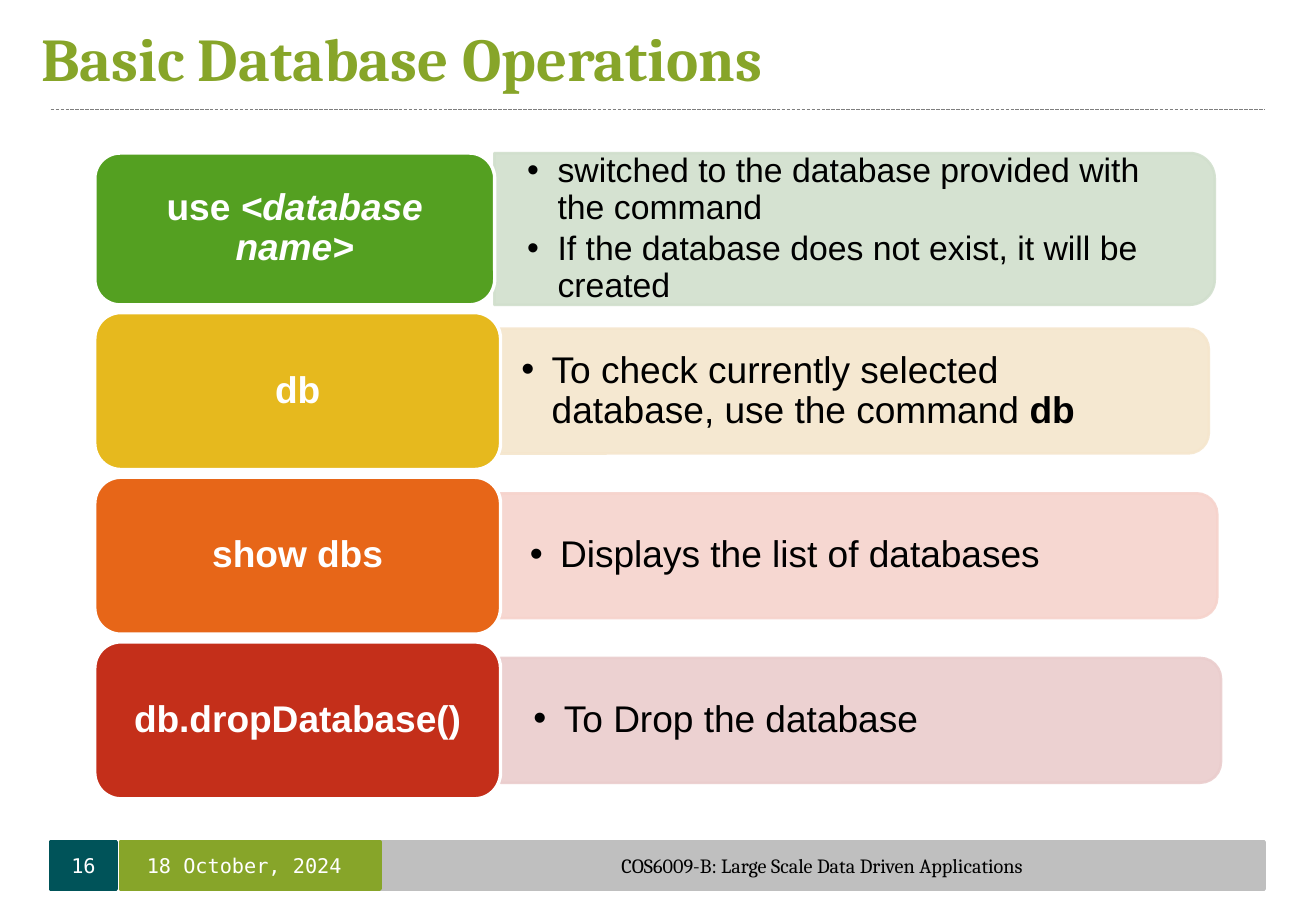
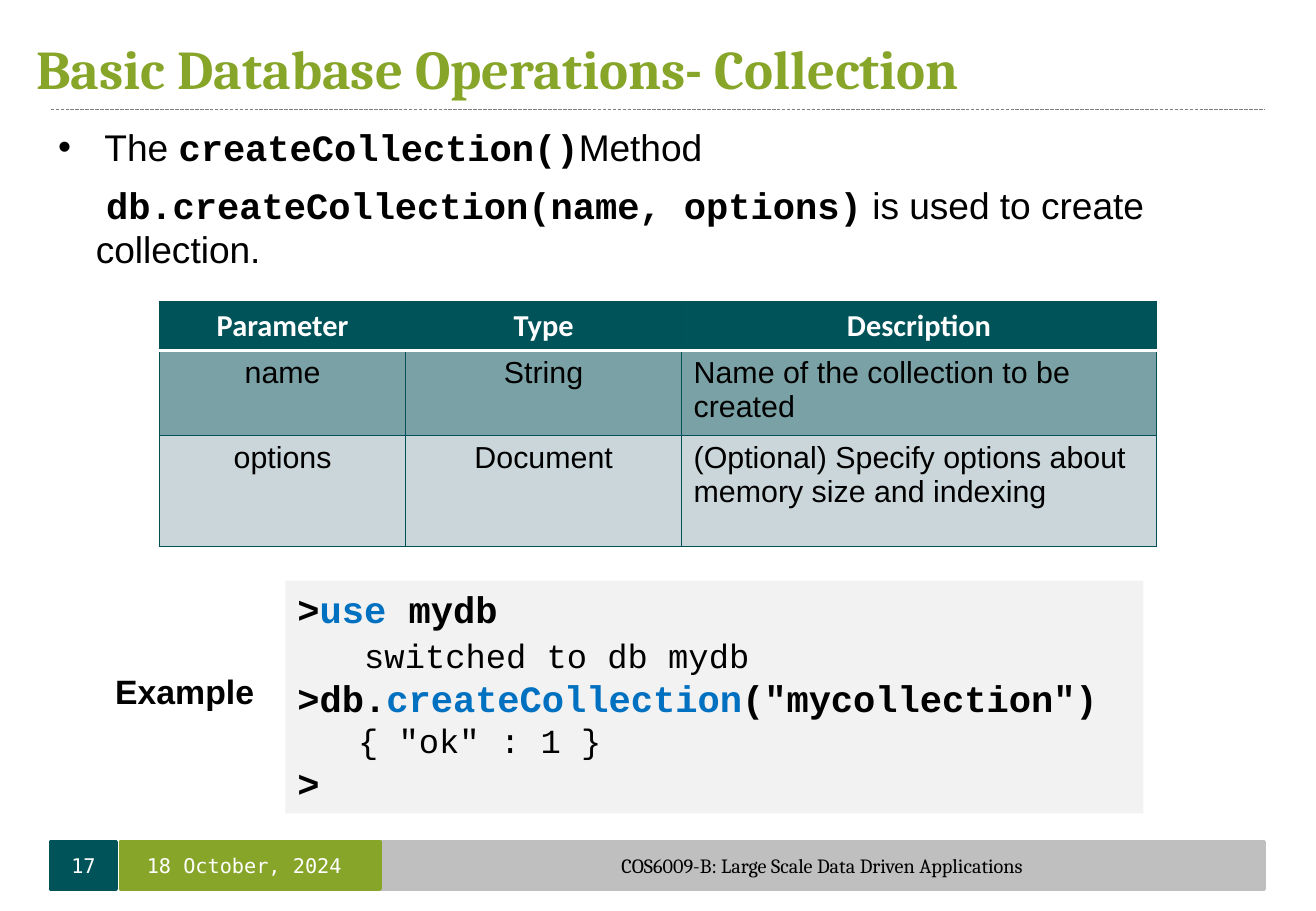
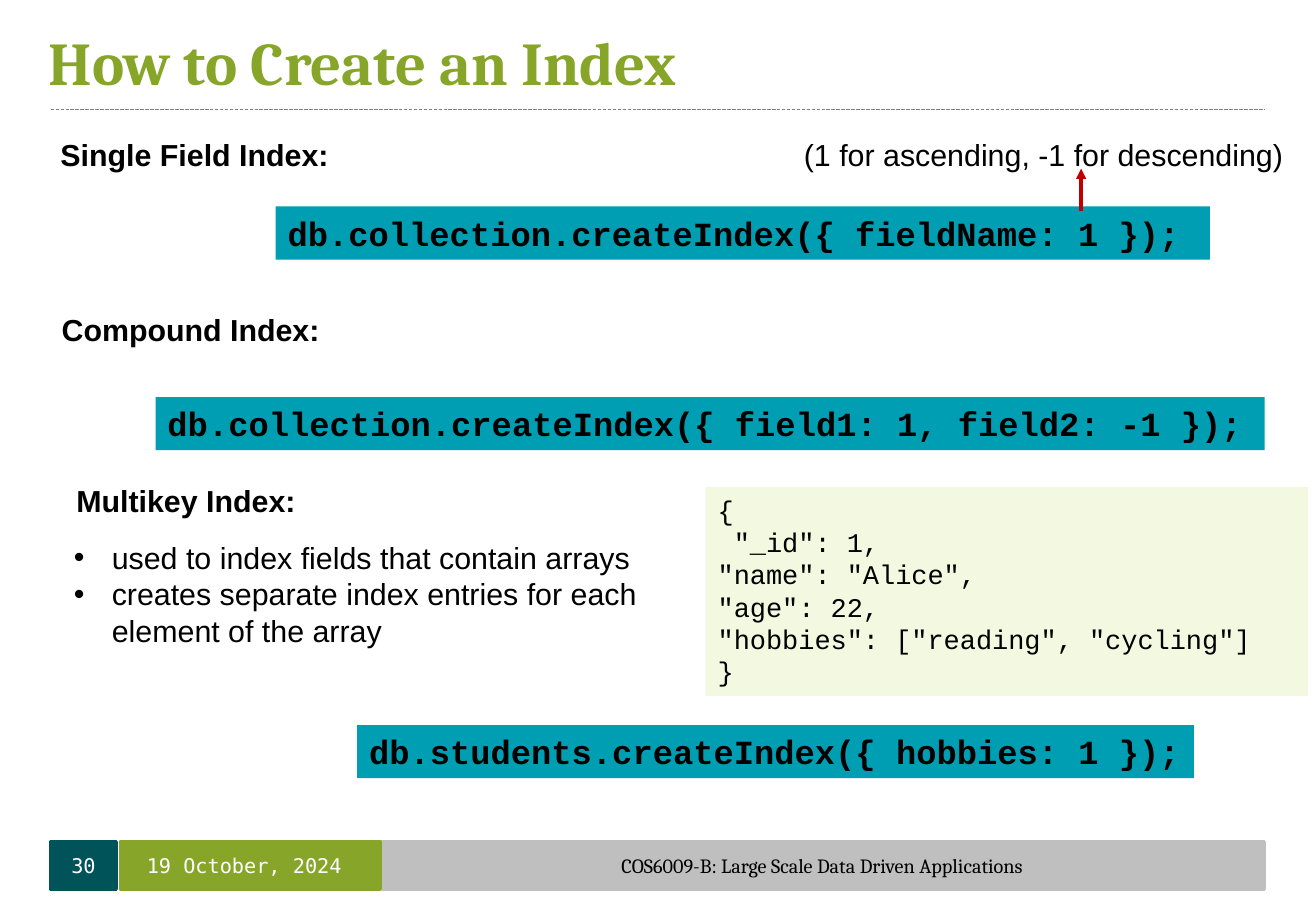
import dataclasses
import typing

import pptx
import pptx.dml.color
import pptx.enum.dml
import pptx.enum.shapes
import pptx.enum.text
import pptx.oxml.ns
import pptx.oxml.xmlchemy
import pptx.util

Pt = pptx.util.Pt
SHAPE = pptx.enum.shapes.MSO_SHAPE
ALIGN = pptx.enum.text.PP_ALIGN
ANCHOR = pptx.enum.text.MSO_ANCHOR

TEAL, GREEN, SILVER, GREY = "005359", "87A529", "BFBFBF", "7F7F7F"
WHITE, BLACK, BLUE, RED = "FFFFFF", "000000", "0070C0", "C00000"
CYAN, BORDER = "009EB2", "005157"
SANS, SERIF, MONO, DIGITS = "Arial", "Cambria", "Courier New", "DejaVu Sans Mono"
COURSE = "COS6009-B: Large Scale Data Driven Applications"
TEXT_INSETS = (7.2, 3.6, 7.2, 3.6)
BAND_TOP, BAND_HEIGHT = 499, 28


@dataclasses.dataclass(frozen=True)
class Run:
    text: str
    size: float = 18
    name: str = SANS
    color: str = BLACK
    bold: bool = False
    italic: bool = False


@dataclasses.dataclass(frozen=True)
class Para:
    runs: tuple[Run, ...]
    align: typing.Any = ALIGN.LEFT
    left: float = 0
    first: float = 0
    bullet: bool = False
    line: float = 1
    before: float = 0
    after: float = 0


class Box(typing.NamedTuple):
    x: float
    y: float
    w: float
    h: float


class Band(typing.NamedTuple):
    x: float
    w: float
    fill: str
    run: Run
    right: float = 0


class Operation(typing.NamedTuple):
    command: tuple[Run, ...]
    notes: tuple[tuple[Run, ...], ...]
    fill: str
    tint: str
    w: float
    h: float
    panel_x: float
    panel_h: float


def rgb(color: str) -> pptx.dml.color.RGBColor:
    return pptx.dml.color.RGBColor.from_string(color)


def xml(parent, tag: str, **attrs: str):
    e = pptx.oxml.xmlchemy.OxmlElement(tag)
    for key, value in attrs.items():
        e.set(key, value)
    parent.append(e)
    return e


def write(tf, paras: typing.Sequence[Para]) -> None:
    for i, para in enumerate(paras):
        p = tf.paragraphs[0] if i == 0 else tf.add_paragraph()
        layout = {"alignment": para.align, "line_spacing": para.line,
                  "space_before": Pt(para.before), "space_after": Pt(para.after)}
        for key, value in layout.items():
            setattr(p, key, value)
        pPr = p._p.get_or_add_pPr()
        pPr.set("marL", str(int(Pt(para.left))))
        pPr.set("indent", str(int(Pt(para.first))))
        if para.bullet:
            xml(pPr, "a:buFont", typeface=SANS)
            xml(pPr, "a:buChar", char="•")
        for run in para.runs:
            r = p.add_run()
            r.text = run.text
            font = {"size": Pt(run.size), "name": run.name,
                    "bold": run.bold, "italic": run.italic}
            for key, value in font.items():
                setattr(r.font, key, value)
            r.font.color.rgb = rgb(run.color)


def frame_text(sp, paras: typing.Sequence[Para], anchor, insets: tuple) -> None:
    tf = sp.text_frame
    sides = ("margin_left", "margin_top", "margin_right", "margin_bottom")
    frame = {"word_wrap": True, "vertical_anchor": anchor,
             **{side: Pt(v) for side, v in zip(sides, insets)}}
    for key, value in frame.items():
        setattr(tf, key, value)
    write(tf, paras)


def add_text(s, box: Box, paras: typing.Sequence[Para], fill: str = "",
             anchor=ANCHOR.TOP, insets: tuple = TEXT_INSETS) -> None:
    sp = s.shapes.add_textbox(*map(Pt, box))
    if fill:
        sp.fill.solid()
        sp.fill.fore_color.rgb = rgb(fill)
    frame_text(sp, paras, anchor, insets)


def add_shape(s, kind, box: Box, fill: str, line: str, width: float = 2):
    sp = s.shapes.add_shape(kind, *map(Pt, box))
    sp.shadow.inherit = False
    sp.fill.solid()
    sp.fill.fore_color.rgb = rgb(fill)
    sp.line.color.rgb = rgb(line)
    sp.line.width = Pt(width)
    return sp


def add_line(s, start: tuple, end: tuple, color: str, width: float):
    sp = s.shapes.add_connector(pptx.enum.shapes.MSO_CONNECTOR.STRAIGHT,
                                *map(Pt, start + end))
    sp.line.color.rgb = rgb(color)
    sp.line.width = Pt(width)
    xml(sp._element.spPr, "a:effectLst")
    return sp


def add_slide(prs, title: str, x: float, y: float, number: str, date: str,
              size: float = 36):
    s = prs.slides.add_slide(prs.slide_layouts[6])
    bands = (
        Band(30, 39, TEAL, Run(number, 12, DIGITS, WHITE)),
        Band(225.4, 524, SILVER, Run(COURSE, 12, SERIF)),
        Band(71.3, 154, GREEN, Run(date, 12, DIGITS, WHITE), 7),
    )
    for band in bands:
        sp = add_shape(s, SHAPE.RECTANGLE, Box(band.x, BAND_TOP, band.w, BAND_HEIGHT),
                       band.fill, band.fill)
        frame_text(sp, [Para((band.run,), ALIGN.CENTER)], ANCHOR.MIDDLE,
                   (0, 0, band.right, 0))
    rule = add_line(s, (30, 65), (750, 65), GREY, 0.75)
    rule.line.dash_style = pptx.enum.dml.MSO_LINE.SQUARE_DOT
    add_text(s, Box(x, y, 667, 60.5), [Para((Run(title, size, SERIF, GREEN, True),))],
             anchor=ANCHOR.MIDDLE, insets=(0, 0, 0, 0))
    return s


def add_panel(s, box: Box, tint: str) -> None:
    cx, cy = box.x + box.w / 2, box.y + box.h / 2
    upright = Box(cx - box.h / 2, cy - box.w / 2, box.h, box.w)
    sp = add_shape(s, SHAPE.ROUND_2_SAME_RECTANGLE, upright, tint, tint, 1.5)
    sp.rotation = 90
    for clr in list(sp._element.spPr.iter(pptx.oxml.ns.qn("a:srgbClr"))):
        xml(clr, "a:alpha", val="90000")


def label(text: str, italic: bool = False) -> Run:
    return Run(text, 22, color=WHITE, bold=True, italic=italic)


def operations_slide(prs) -> None:
    s = add_slide(prs, "Basic Database Operations", 24.5, 3.6, "16", "18 October, 2024")
    operations = (
        Operation((label("use "), label("<database name>", True)),
                  ((Run("switched to the database provided with the command", 20),),
                   (Run("If the database does not exist, it will be created", 20),)),
                  "54A021", "D1DFCD", 237, 90, 293, 90),
        Operation((label("db"),),
                  ((Run("To check currently selected database, use the command ", 22),
                    Run("db", 22, bold=True)),),
                  "E6B91E", "F5E6CD", 240.5, 93, 289.5, 74),
        Operation((label("show dbs"),), ((Run("Displays the list of databases", 22),),),
                  "E76618", "F6D3CC", 240.5, 93, 294.5, 74),
        Operation((label("db.dropDatabase()"),), ((Run("To Drop the database", 22),),),
                  "C42F1A", "EACDCD", 240.5, 93, 296.7, 74),
    )
    y, gap = 90.7, 4.6
    for op in operations:
        panel = Box(op.panel_x, y + (op.h - op.panel_h) / 2, 427, op.panel_h)
        add_panel(s, panel, op.tint)
        notes = [Para(runs, left=18, first=-18, bullet=True, line=0.9,
                      after=0.15 * runs[0].size) for runs in op.notes]
        add_text(s, panel._replace(w=423), notes, anchor=ANCHOR.MIDDLE,
                 insets=(19.5, 10, 19.5, 10))
        sp = add_shape(s, SHAPE.ROUNDED_RECTANGLE, Box(56.2, y, op.w, op.h),
                       op.fill, WHITE)
        frame_text(sp, [Para(op.command, ALIGN.CENTER, line=0.9)], ANCHOR.MIDDLE,
                   (11, 8, 11, 8))
        y += op.h + gap


def add_border(cell, side: str, color: str, width: float) -> None:
    ln = xml(cell._tc.get_or_add_tcPr(), f"a:ln{side}", w=str(int(Pt(width))))
    xml(xml(ln, "a:solidFill"), "a:srgbClr", val=color)


def parameter_table(s) -> None:
    rows = (
        ("Parameter", "Type", "Description"),
        ("name", "String", "Name of the collection to be created"),
        ("options", "Document", "(Optional) Specify options about memory size and indexing"),
    )
    fills, heights, widths = (TEAL, "7AA2A6", "CBD6DA"), (29, 48, 66), (146, 163.5, 281.5)
    tbl = s.shapes.add_table(3, 3, *map(Pt, (94.5, 178.5, sum(widths), sum(heights)))).table
    for col, width in zip(tbl.columns, widths):
        col.width = Pt(width)
    for i, texts in enumerate(rows):
        tbl.rows[i].height = Pt(heights[i])
        for j, text in enumerate(texts):
            cell = tbl.cell(i, j)
            edges = {side: (BORDER, 0.75) for side in "LRTB"}
            if i < 2:
                edges["B" if i == 0 else "T"] = (WHITE, 2)
            for side, (color, width) in edges.items():
                add_border(cell, side, color, width)
            cell.fill.solid()
            cell.fill.fore_color.rgb = rgb(fills[i])
            run = Run(text, 18, "Calibri", WHITE, True) if i == 0 else Run(text)
            align = ALIGN.LEFT if i and j == 2 else ALIGN.CENTER
            write(cell.text_frame, [Para((run,), align)])


def code(text: str, color: str = BLACK) -> Run:
    return Run(text, 22, MONO, color, True)


def collection_slide(prs) -> None:
    s = add_slide(prs, "Basic Database Operations- Collection", 21.6, 10, "17",
                  "18 October, 2024", 32.4)
    parameter_table(s)
    add_text(s, Box(27.4, 70.5, 675, 55),
             [Para((Run("The ", 22), code("createCollection()"), Run("Method", 22)),
                   left=27.4, first=-27.4, bullet=True)])
    add_text(s, Box(49.7, 104.4, 666, 60.5),
             [Para((code("db.createCollection(name, options)"),
                    Run(" is used to create collection.", 22)), first=6.1)])
    add_text(s, Box(169.2, 344.2, 508.5, 138), [
        Para((code(">"), code("use ", BLUE), code("mydb"))),
        Para((Run("switched to db mydb", 20, MONO),), left=39.6, before=2.2),
        Para((code(">db."), code("createCollection", BLUE), code('("mycollection")'))),
        Para((Run('{ "ok" : 1 }', 20, MONO),), left=36),
        Para((code(">"),)),
    ], "F2F2F2")
    add_text(s, Box(61.2, 393.8, 136, 31.7), [Para((Run("Example", 20, bold=True),))])


def index_slide(prs) -> None:
    s = add_slide(prs, "How to Create an Index", 28.8, 5.8, "30", "19 October, 2024")
    headings = (
        ("Single Field Index:", 28.8, 77),
        ("Compound Index:", 29.5, 180.7),
        ("Multikey Index:", 38.2, 282.2),
    )
    for text, x, y in headings:
        add_text(s, Box(x, y, 390, 29), [Para((Run(text, bold=True),))])
    commands = (
        ("db.collection.createIndex({ fieldName: 1 });", 163.4, 122.4, 553.7),
        ("db.collection.createIndex({ field1: 1, field2: -1 });", 92.2, 235.4, 657.4),
        ("db.students.createIndex({ hobbies: 1 });", 211.7, 429.8, 496),
    )
    for text, x, y, w in commands:
        add_text(s, Box(x, y, w, 31.5), [Para((Run(text, 20, MONO, bold=True),))], CYAN)
    add_text(s, Box(469.4, 77, 306, 29), [Para((Run("(1 for ascending, -1 for descending)"),))])
    arrow = add_line(s, (640.8, 125.3), (640.8, 100), RED, 2)
    xml(arrow.line._get_or_add_ln(), "a:tailEnd", type="triangle")
    notes = ("used to index fields that contain arrays",
             "creates separate index entries for each element of the array")
    add_text(s, Box(36.7, 316, 390, 73),
             [Para((Run(note),), left=22.5, first=-22.5, bullet=True) for note in notes])
    document = ("{", ' "_id": 1,', '"name": "Alice",', '"age": 22,',
                '"hobbies": ["reading", "cycling"]', "}")
    add_text(s, Box(418.3, 288.7, 357, 123.8),
             [Para((Run(text, 16, MONO),)) for text in document], "F2F9E0")


def main() -> None:
    prs = pptx.Presentation()
    prs.slide_width, prs.slide_height = Pt(780), Pt(540)
    operations_slide(prs)
    collection_slide(prs)
    index_slide(prs)
    prs.save("out.pptx")


if __name__ == "__main__":
    main()
